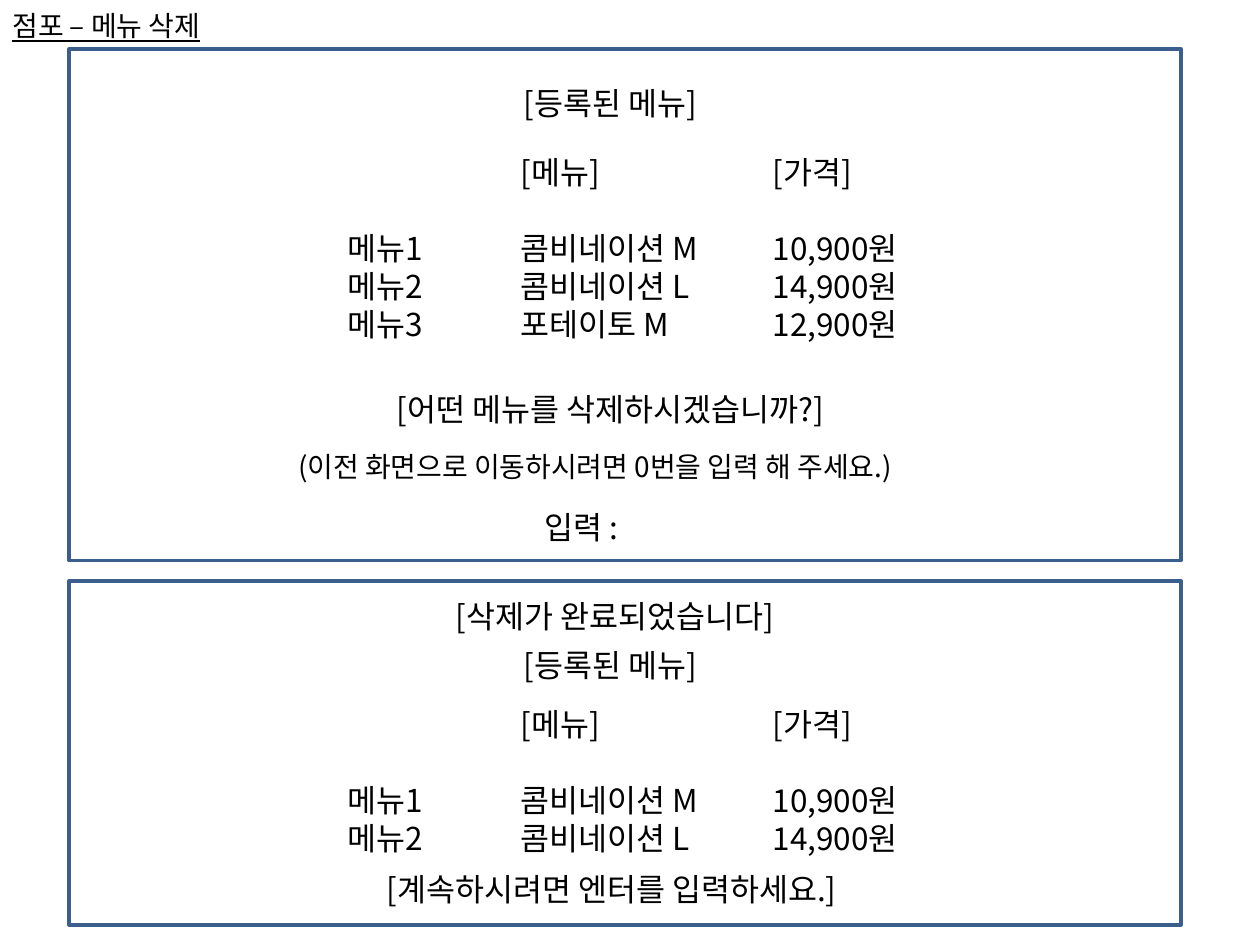
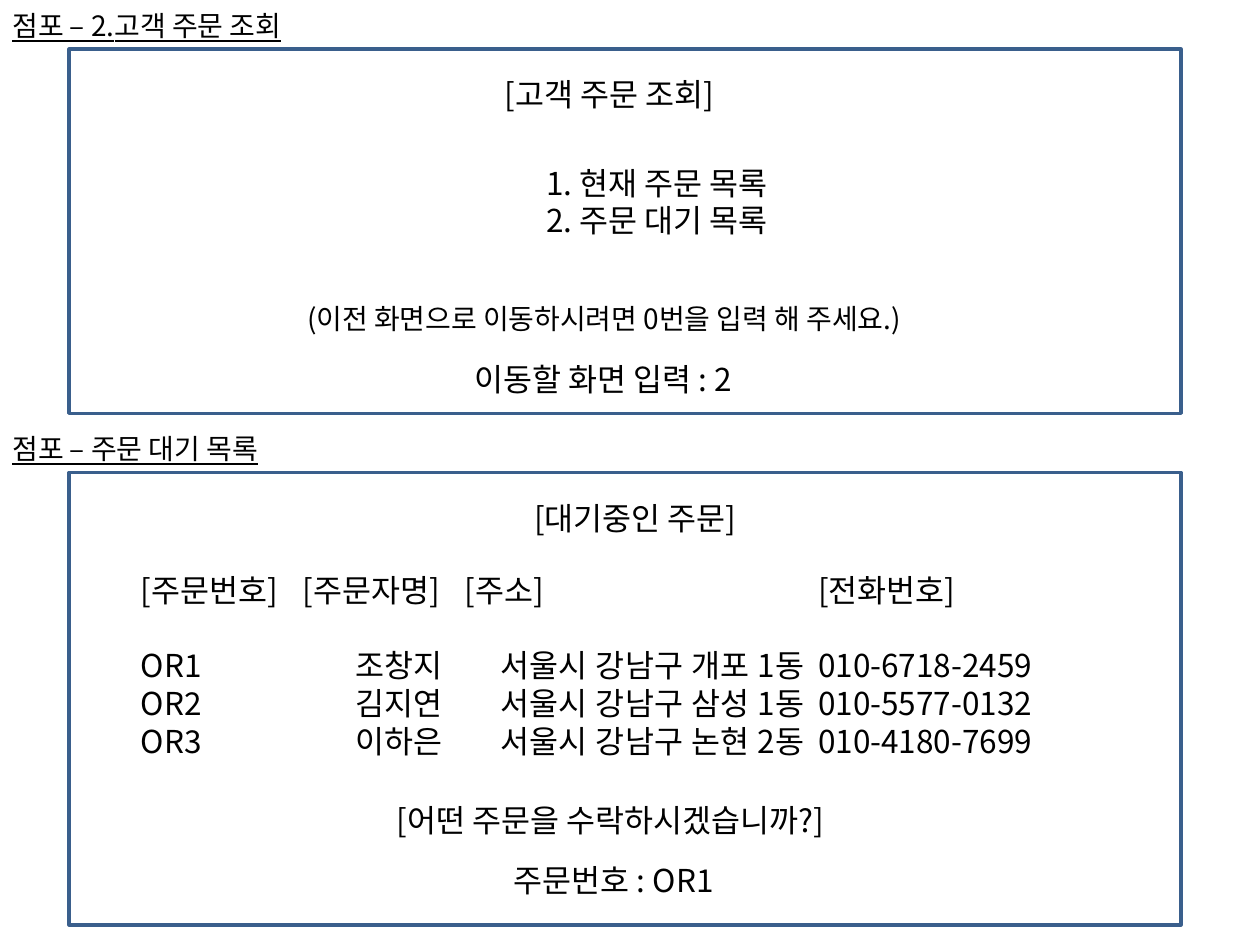
from dataclasses import dataclass
from lxml import etree
from pptx import Presentation
from pptx import util as u
from pptx.dml.color import RGBColor
from pptx.enum import shapes, text
from pptx.oxml import ns


@dataclass(frozen=True)
class Theme:
    font: str = "Noto Sans CJK KR"
    ink: str = "000000"
    frame: str = "3A5F8C"
    frame_width: float = 2
    small: float = 16
    body: float = 18
    line: float = 21.6
    hanging: float = 27
    tab: float = 72


THEME = Theme()
FRAME_LEFT, FRAME_WIDTH = 39.6, 635.3
MENU_LEFT, MENU_WIDTH = 191.5, 371.5

# Content; a paragraph is a string or a list of (words, letter spacing) runs
BACK_HINT = "(이전 화면으로 이동하시려면 0번을 입력 해 주세요.)"
MENU = [
    "\t\t[메뉴]\t\t[가격]",
    "메뉴1\t콤비네이션 M\t10,900원",
    "메뉴2\t콤비네이션 L\t14,900원",
    "메뉴3\t포테이토 M\t12,900원",
]
HEADER_GAP, NAME_GAP, ADDRESS_GAP = (" ", 10), (" ", 19.5), (" ", 29)
ADDRESS_SPACING = 0.25
ORDER_HEADER = [("[주문번호]", 0), HEADER_GAP, ("[주문자명]", 0), HEADER_GAP,
                ("[주소]\t\t\t[전화번호]", 0)]
ORDERS = [
    ("OR1", "조창지", "서울시 강남구 개포 1동", "010-6718-2459"),
    ("OR2", "김지연", "서울시 강남구 삼성 1동", "010-5577-0132"),
    ("OR3", "이하은", "서울시 강남구 논현 2동", "010-4180-7699"),
]
ORDER_ROWS = [
    [(number + "\t", 0), NAME_GAP, (name, 0), ADDRESS_GAP,
     (address, ADDRESS_SPACING), ("\t" + phone, 0)]
    for number, name, address, phone in ORDERS
]

# Each screen: frame (top, height), heading, lines (text, left, top, width, size),
# table (paragraphs, left, top, width), options (paragraphs, left, top, width, indent)
SLIDES = [
    [
        dict(
            frame=(28.1, 292.3), heading="점포 – 메뉴 삭제",
            lines=[
                ("[등록된 메뉴]", 292.3, 44.6, 191.5, THEME.body),
                ("[어떤 메뉴를 삭제하시겠습니까?]", 219.6, 219.6, 337.7, THEME.body),
                (BACK_HINT, 163.4, 253.4, 427.7, THEME.small),
                ("입력 : ", 303.8, 286.6, 185.8, THEME.body),
            ],
            table=(MENU, MENU_LEFT, 84.2, MENU_WIDTH),
        ),
        dict(
            frame=(331.9, 196.6),
            lines=[
                ("[삭제가 완료되었습니다]", 253.4, 337.7, 337.7, THEME.body),
                ("[등록된 메뉴]", 292.3, 365.8, 191.5, THEME.body),
                ("[계속하시려면 엔터를 입력하세요.]", 213.8, 493.9, 337.7, THEME.body),
            ],
            table=(MENU[:3], MENU_LEFT, 399.6, MENU_WIDTH),
        ),
    ],
    [
        dict(
            frame=(28.1, 208.1), heading="점포 – 2.고객 주문 조회",
            lines=[
                ("[고객 주문 조회]", 281.5, 39.6, 191.5, THEME.body),
                (BACK_HINT, 168.5, 168.5, 427.7, THEME.small),
                ("이동할 화면 입력 : 2", 264.2, 202.3, 185.8, THEME.body),
            ],
            options=(["1. 현재 주문 목록", "2. 주문 대기 목록"], 61.9, 90, 534.2, 243),
        ),
        dict(
            frame=(270, 258.5), heading="점포 – 주문 대기 목록",
            lines=[
                ("[대기중인 주문]", 298.1, 281.5, 191.5, THEME.body),
                ("[어떤 주문을 수락하시겠습니까?]", 219.6, 454.3, 337.7, THEME.body),
                ("주문번호 : OR1", 286.6, 488.2, 185.8, THEME.body),
            ],
            table=([ORDER_HEADER, *ORDER_ROWS], 73.4, 322.6, 596.2),
        ),
    ],
]


def add_text(slide, paragraphs, left, top, width, size=THEME.body, underline=None,
             indent=THEME.hanging, first_line=-THEME.hanging, gap_row=None):
    """Add a text box; gap_row is the paragraph that has one free line above it."""
    rows = len(paragraphs) + (gap_row is not None)
    height = rows * size * THEME.line / THEME.body + 7.2
    shape = slide.shapes.add_textbox(u.Pt(left), u.Pt(top), u.Pt(width), u.Pt(height))
    frame = shape.text_frame
    frame.word_wrap = True
    frame.auto_size = text.MSO_AUTO_SIZE.SHAPE_TO_FIT_TEXT
    for index, content in enumerate(paragraphs):
        paragraph = frame.paragraphs[0] if index == 0 else frame.add_paragraph()
        if index == gap_row:
            paragraph.space_before = u.Pt(THEME.line)
        properties = paragraph._p.get_or_add_pPr()
        properties.set("marL", str(u.Pt(indent)))
        properties.set("indent", str(u.Pt(first_line)))
        properties.set("defTabSz", str(u.Pt(THEME.tab)))
        runs = [(content, 0)] if isinstance(content, str) else content
        for words, spacing in runs:
            run = paragraph.add_run()
            run.text = words
            font = run.font
            font.name, font.size, font.underline = THEME.font, u.Pt(size), underline
            font.color.rgb = RGBColor.from_string(THEME.ink)
            run_properties = run._r.get_or_add_rPr()
            if spacing:
                run_properties.set("spc", str(int(spacing * 100)))
            etree.SubElement(run_properties, ns.qn("a:ea"), typeface=THEME.font)


def add_frame(slide, top, height):
    shape = slide.shapes.add_shape(shapes.MSO_SHAPE.RECTANGLE, u.Pt(FRAME_LEFT), u.Pt(top),
                                   u.Pt(FRAME_WIDTH), u.Pt(height))
    shape.shadow.inherit = False
    shape.fill.background()
    shape.line.color.rgb = RGBColor.from_string(THEME.frame)
    shape.line.width = u.Pt(THEME.frame_width)


def add_screen(slide, screen):
    top, height = screen["frame"]
    add_frame(slide, top, height)
    if "heading" in screen:
        add_text(slide, [screen["heading"]], 0, top - 26.7, 208.1, THEME.small, underline=True)
    for words, left, line_top, width, size in screen["lines"]:
        add_text(slide, [words], left, line_top, width, size)
    if "table" in screen:
        add_text(slide, *screen["table"], gap_row=1)
    if "options" in screen:
        *place, indent = screen["options"]
        add_text(slide, *place, indent=indent, first_line=0)


# Build the slides
presentation = Presentation()
presentation.slide_width, presentation.slide_height = u.Pt(720), u.Pt(540)
for screens in SLIDES:
    slide = presentation.slides.add_slide(presentation.slide_layouts[6])
    for screen in screens:
        add_screen(slide, screen)
presentation.save("out.pptx")
